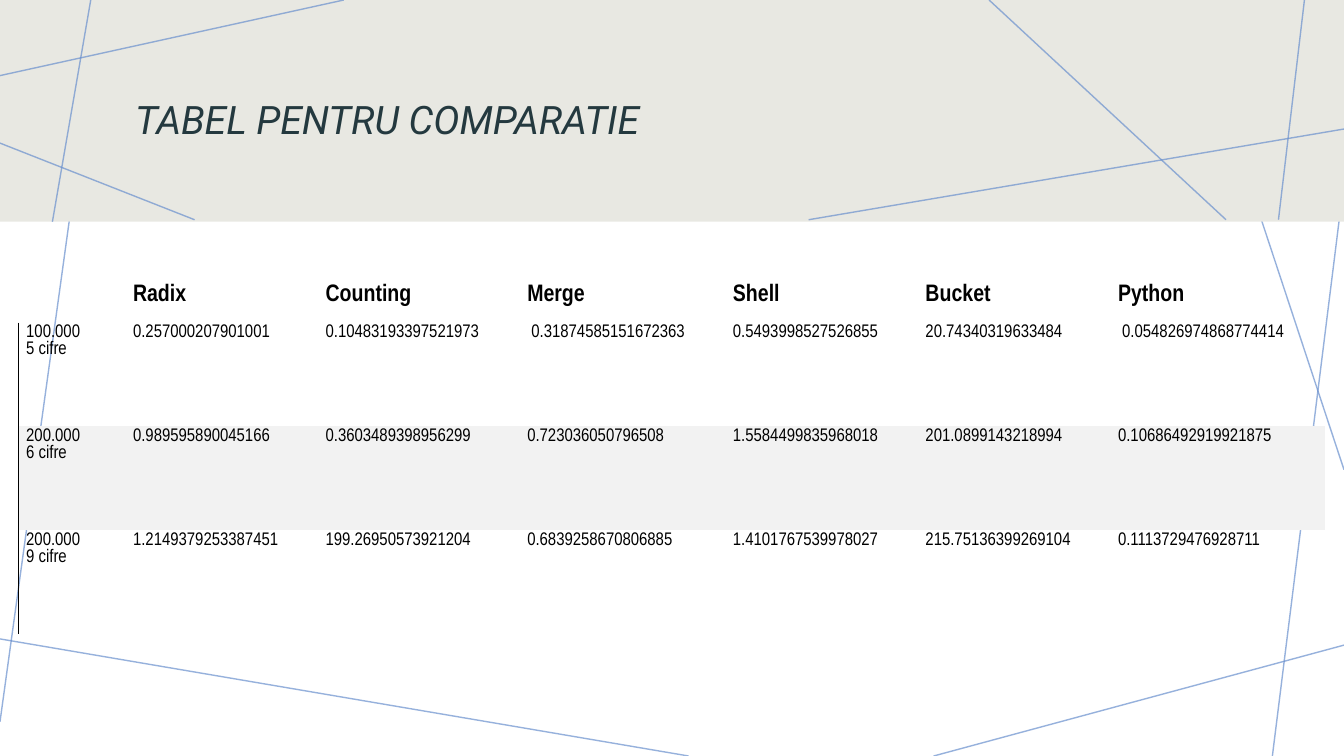
from lxml import etree
from pptx import Presentation
from pptx.dml.color import RGBColor
from pptx.enum.shapes import MSO_CONNECTOR, MSO_SHAPE
from pptx.enum.text import MSO_ANCHOR, PP_ALIGN
from pptx.oxml.ns import qn
from pptx.util import Inches, Pt

STRAIGHT = MSO_CONNECTOR.STRAIGHT
RECTANGLE = MSO_SHAPE.RECTANGLE
TOP, MIDDLE, BOTTOM = MSO_ANCHOR.TOP, MSO_ANCHOR.MIDDLE, MSO_ANCHOR.BOTTOM
LEFT = PP_ALIGN.LEFT
NO_GRID_STYLE = "{2D5ABB26-0587-4C30-8999-92F81FD0307C}"

COLORS = {"line": "6A90CE", "band": "E8E8E2", "title": "24393F",
          "text": "000000", "stripe": "F2F2F2"}

TITLE = "TABEL PENTRU COMPARATIE"
TIMINGS = [
    ["", "Radix", "Counting", "Merge", "Shell", "Bucket", "Python"],
    ["100.000\n5 cifre", "0.257000207901001", "0.10483193397521973", " 0.31874585151672363",
     "0.5493998527526855", "20.74340319633484", " 0.054826974868774414"],
    ["200.000\n6 cifre", "0.989595890045166", "0.3603489398956299", "0.723036050796508",
     "1.5584499835968018", "201.0899143218994", "0.10686492919921875"],
    ["200.000\n9 cifre", "1.2149379253387451", "199.26950573921204", "0.6839258670806885",
     "1.4101767539978027", "215.75136399269104", "0.1113729476928711"],
]
COLUMN_WIDTHS = [1.06, 1.91, 2, 2.04, 1.91, 1.91, 2.13]
ROW_HEIGHTS = [0.79, 1.03, 1.03, 1.03]
STRIPED_ROW = 2

BACK_LINES = [
    (3.41, 0, 0, 0.75), (0.99, 0, 0, 7.16), (6.83, 7.5, -0.05, 6.33),
    (13.33, 6.4, 9.26, 7.5), (13.33, 1.8, 12.62, 7.5),
    (13.33, 4.66, 11.79, 0), (13.33, 1.01, 7.14, -0.01),
]
BAND_LINES = [
    (3.41, 0, 0, 0.75), (0.9, 0, 0.52, 2.2), (1.93, 2.18, 0, 1.42),
    (13.33, 1.28, 8.02, 2.18), (12.16, 2.18, 9.81, 0), (12.94, -0.02, 12.68, 2.18),
]

TITLE_FONT = {"name": "Roboto", "size": Pt(28), "italic": True, "bold": False}
HEADER_FONT = {"name": "Arial Narrow", "size": Pt(17), "bold": True}
VALUE_FONT = {"name": "Arial Narrow", "size": Pt(13), "bold": False}
TITLE_BOX = {"left": Inches(1.24), "top": Inches(0.54),
             "width": Inches(11.01), "height": Inches(1.34)}
CELL_MARGINS = {"margin_left": Inches(0.08), "margin_top": Inches(0.02),
                "margin_right": Inches(0.11), "margin_bottom": Inches(0.16)}


def color(key):
    return RGBColor.from_string(COLORS[key])


def apply(target, values):
    for name, value in values.items():
        setattr(target, name, value)


def style_font(font, values, key):
    apply(font, values)
    font.color.rgb = color(key)


def draw_lines(shapes, lines):
    for ends in lines:
        accent = shapes.add_connector(STRAIGHT, *map(Inches, ends))
        accent.line.width = Pt(1)
        accent.line.color.rgb = color("line")
        properties = accent._element.spPr
        tint = properties.find(".//" + qn("a:srgbClr"))
        etree.SubElement(tint, qn("a:alpha"), val="70000")
        etree.SubElement(properties, qn("a:effectLst"))


def draw_left_border(cell):
    border = etree.Element(qn("a:lnL"), w=str(Pt(0.75)))
    fill = etree.SubElement(border, qn("a:solidFill"))
    etree.SubElement(fill, qn("a:srgbClr"), val=COLORS["text"])
    cell._tc.get_or_add_tcPr().insert(0, border)


def draw_title(slide):
    title = slide.shapes.title
    apply(title, TITLE_BOX)
    title.text_frame.text = TITLE
    title.text_frame.vertical_anchor = MIDDLE
    paragraph = title.text_frame.paragraphs[0]
    apply(paragraph, {"alignment": LEFT, "line_spacing": 0.9})
    style_font(paragraph.runs[0].font, TITLE_FONT, "title")
    slide.shapes._spTree.append(title._element)


def draw_timings(shapes):
    frame = shapes.add_table(len(TIMINGS), len(COLUMN_WIDTHS), Inches(0.18), Inches(2.41),
                             Inches(sum(COLUMN_WIDTHS)), Inches(sum(ROW_HEIGHTS)))
    table = frame.table
    apply(table, {"first_row": False, "horz_banding": False})
    table._tbl.tblPr.find(qn("a:tableStyleId")).text = NO_GRID_STYLE
    for column, width in zip(table.columns, COLUMN_WIDTHS):
        column.width = Inches(width)
    for row, height in zip(table.rows, ROW_HEIGHTS):
        row.height = Inches(height)
    for row_index, values in enumerate(TIMINGS):
        header = row_index == 0
        for column_index, value in enumerate(values):
            cell = table.cell(row_index, column_index)
            apply(cell, CELL_MARGINS)
            cell.vertical_anchor = BOTTOM if header else TOP
            cell.text = value
            for paragraph in cell.text_frame.paragraphs:
                style_font(paragraph.font, HEADER_FONT if header else VALUE_FONT, "text")
                for run in paragraph.runs:
                    style_font(run.font, HEADER_FONT if header else VALUE_FONT, "text")
            if row_index == STRIPED_ROW:
                cell.fill.solid()
                cell.fill.fore_color.rgb = color("stripe")
            else:
                cell.fill.background()
            if column_index == 0 and not header:
                draw_left_border(cell)


def main():
    presentation = Presentation()
    apply(presentation, {"slide_width": Inches(13.33), "slide_height": Inches(7.5)})
    slide = presentation.slides.add_slide(presentation.slide_layouts[5])
    draw_lines(slide.shapes, BACK_LINES)
    band = slide.shapes.add_shape(RECTANGLE, 0, 0, Inches(13.33), Inches(2.2))
    band.shadow.inherit = False
    band.fill.solid()
    band.fill.fore_color.rgb = color("band")
    band.line.fill.background()
    draw_lines(slide.shapes, BAND_LINES)
    draw_title(slide)
    draw_timings(slide.shapes)
    presentation.save("out.pptx")


if __name__ == "__main__":
    main()
